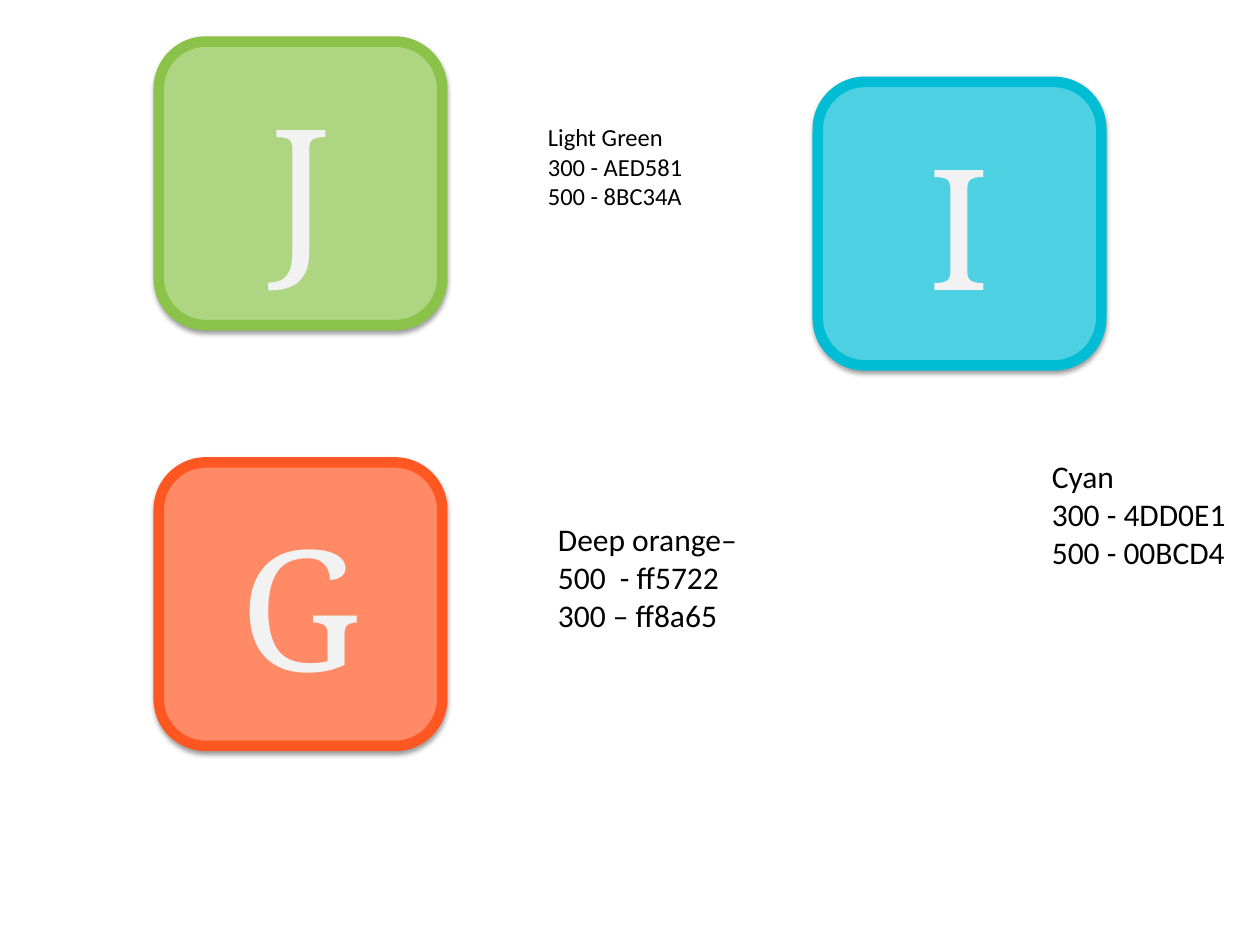
from dataclasses import dataclass

from lxml.etree import SubElement
from pptx import Presentation
from pptx.dml.color import RGBColor as RGB
from pptx.enum.shapes import MSO_SHAPE as Shape
from pptx.enum.text import MSO_ANCHOR as Anchor, MSO_AUTO_SIZE as AutoSize, PP_ALIGN as Align
from pptx.oxml.ns import qn
from pptx.util import Inches, Pt


@dataclass(frozen=True)
class Theme:
    """Colours, fonts and sizes shared by the slide."""
    letter_color: str = "F2F2F2"
    note_color: str = "000000"
    shadow_color: str = "000000"
    letter_font: str = "Noto Serif"
    note_font: str = "Calibri"
    letter_size: int = 96
    note_size: int = 18
    small_note_size: int = 14
    border: int = 6


THEME = Theme()
COLUMNS, ROWS = 40, 30
TILE_CELLS = 9

# letter, column, row, fill (shade 300), border (shade 500)
TILES = [
    ("G", 5.04, 14.68, "FF8A65", "FF5722"),
    ("J", 5.04, 1.32, "AED581", "8BC34A"),
    ("I", 25.96, 2.6, "4DD0E1", "00BCD4"),
]

# lines, box in columns and rows, text size, wrap
NOTES = [
    (["Deep orange– ", "500  - ff5722", "300 – ff8a65"],
     (17.32, 16.32, 14.32, 4.04), THEME.note_size, True),
    (["Light Green", "300 - AED581 ", "500 - 8BC34A "],
     (17, 3.68, 8, 3.24), THEME.small_note_size, True),
    (["Cyan", "300 - 4DD0E1", "500 - 00BCD4"],
     (33, 14.32, 6.4, 4.04), THEME.note_size, False),
]


def write_text(frame, lines, *, font, size, color, align=Align.LEFT,
               anchor=Anchor.TOP, wrap=True, grow=False):
    """Fill a text frame with one paragraph per line."""
    frame.word_wrap = wrap
    frame.vertical_anchor = anchor
    if grow:
        frame.auto_size = AutoSize.SHAPE_TO_FIT_TEXT
    for index, line in enumerate(lines):
        paragraph = frame.paragraphs[0] if index == 0 else frame.add_paragraph()
        paragraph.alignment = align
        run = paragraph.add_run()
        run.text = line
        run.font.name = font
        run.font.size = Pt(size)
        run.font.color.rgb = RGB.from_string(color)


def add_soft_shadow(tile):
    """Give a tile a soft shadow straight below it."""
    tile.shadow.inherit = False
    effects = tile._element.spPr.find(qn("a:effectLst"))
    shadow = SubElement(effects, qn("a:outerShdw"), blurRad=str(Pt(3.1)),
                        dist=str(Pt(1.6)), dir="5400000", rotWithShape="0")
    color = SubElement(shadow, qn("a:srgbClr"), val=THEME.shadow_color)
    SubElement(color, qn("a:alpha"), val="38000")


def add_letter_tile(slide, box, letter, fill, border):
    """Draw a rounded tile with one large letter in the box."""
    tile = slide.shapes.add_shape(Shape.ROUNDED_RECTANGLE, *box)
    tile.fill.solid()
    tile.fill.fore_color.rgb = RGB.from_string(fill)
    tile.line.color.rgb = RGB.from_string(border)
    tile.line.width = Pt(THEME.border)
    add_soft_shadow(tile)
    write_text(tile.text_frame, [letter], font=THEME.letter_font,
               size=THEME.letter_size, color=THEME.letter_color,
               align=Align.CENTER, anchor=Anchor.MIDDLE)


def add_color_note(slide, box, lines, size, wrap):
    """Write the name and shades of a colour in the box."""
    note = slide.shapes.add_textbox(*box)
    write_text(note.text_frame, lines, font=THEME.note_font, size=size,
               color=THEME.note_color, wrap=wrap, grow=True)


def build():
    """Build and save the slide of letter tiles."""
    deck = Presentation()
    deck.slide_width, deck.slide_height = Inches(10), Inches(7.5)
    slide = deck.slides.add_slide(deck.slide_layouts[6])
    column, row = deck.slide_width / COLUMNS, deck.slide_height / ROWS

    def cells(left, top, width, height):
        """Turn grid cells into slide lengths."""
        return [round(n * unit) for n, unit in
                zip((left, top, width, height), (column, row, column, row))]

    for (letter, left, top, fill, border), (lines, area, size, wrap) in zip(TILES, NOTES):
        add_letter_tile(slide, cells(left, top, TILE_CELLS, TILE_CELLS),
                        letter, fill, border)
        add_color_note(slide, cells(*area), lines, size, wrap)
    deck.save("out.pptx")


build()
